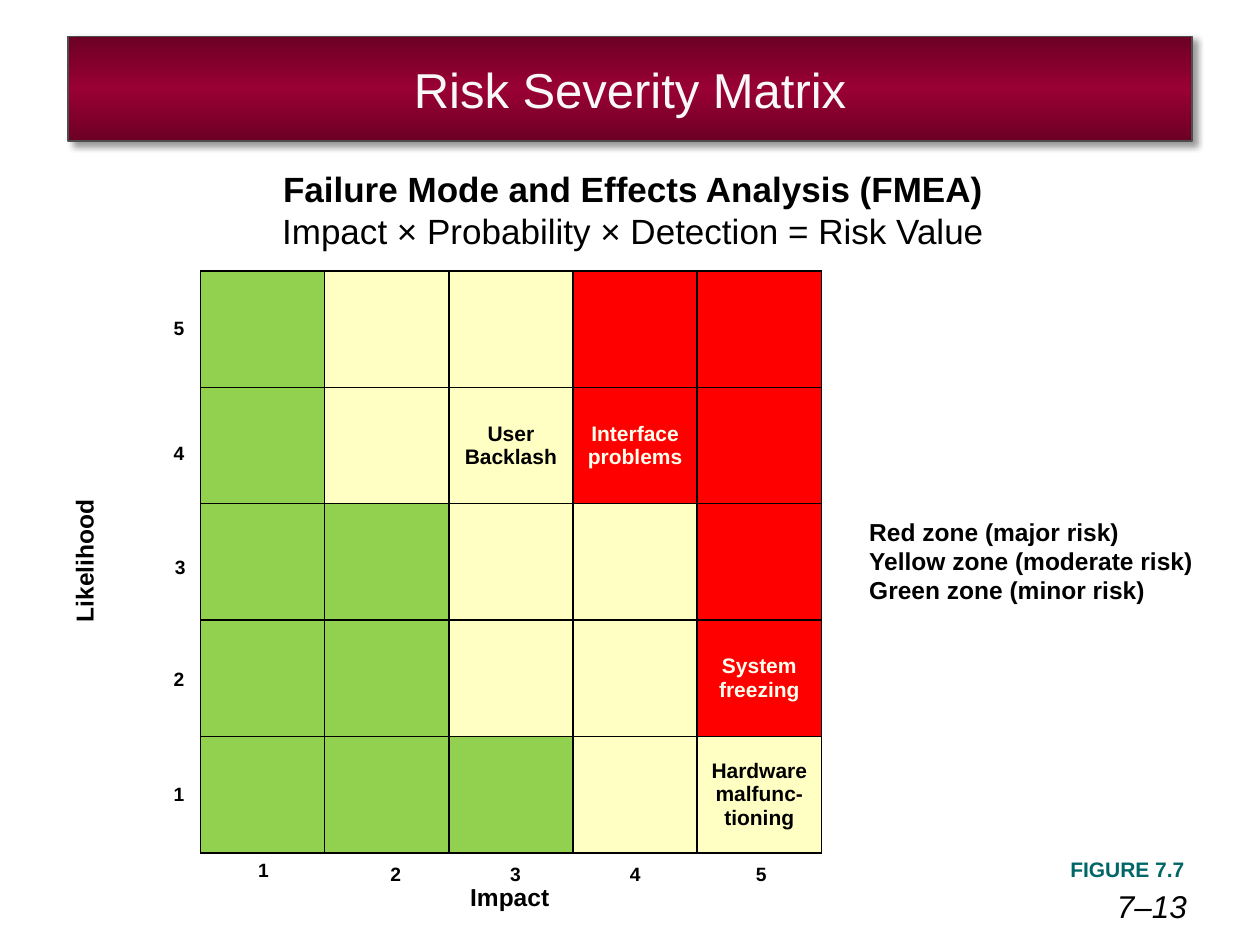
from copy import deepcopy
from dataclasses import dataclass

from lxml import etree
from pptx import Presentation, oxml
from pptx import util as u
from pptx.dml.color import RGBColor
from pptx.enum import shapes, text
from pptx.oxml.ns import nsdecls, qn

In = u.Inches
LEFT, CENTER, RIGHT = text.PP_ALIGN.LEFT, text.PP_ALIGN.CENTER, text.PP_ALIGN.RIGHT


@dataclass(frozen=True)
class Theme:
    font: str = "Arial"
    black: str = "000000"
    title_text: str = "F8F8F8"
    title_edge: str = "6D0024"
    title_middle: str = "990033"
    title_line: str = "4D4D4D"
    figure: str = "006666"
    on_red: str = "FFFFEF"
    green: str = "92D050"
    yellow: str = "FFFFC4"
    red: str = "FF0000"
    title_size: int = 28
    subtitle_size: int = 20
    page_size: int = 18
    label_size: int = 14
    cell_size: int = 12
    tick_size: int = 11


T = Theme()
ZONES = {"G": T.green, "Y": T.yellow, "R": T.red}
MATRIX = ["GYYRR", "GYYRR", "GGYYR", "GGYYR", "GGGYY"]
RISKS = {(1, 2): "User Backlash", (1, 3): "Interface problems",
         (3, 4): "System freezing", (4, 4): "Hardware malfunc-tioning"}
LIKELIHOOD_TICKS = {5: (1.28, 2.46), 4: (1.28, 3.45), 3: (1.29, 4.36),
                    2: (1.28, 5.25), 1: (1.28, 6.16)}
IMPACT_TICKS = {1: (1.95, 6.76), 2: (3, 6.79), 3: (3.95, 6.79),
                4: (4.9, 6.79), 5: (5.9, 6.79)}


def style_font(r, size, color=T.black, **extra):
    for name, value in {"name": T.font, "size": u.Pt(size), **extra}.items():
        setattr(r.font, name, value)
    r.font.color.rgb = RGBColor.from_string(color)


def add_text(s, box, lines, size, align=LEFT, color=T.black, wrap=True, **font):
    sp = s.shapes.add_textbox(*map(In, box))
    tf = sp.text_frame
    tf.word_wrap = wrap
    for i, line in enumerate(lines):
        p = tf.paragraphs[0] if i == 0 else tf.add_paragraph()
        p.alignment = align
        r = p.add_run()
        r.text = line
        style_font(r, size, color, **font)
    return sp


def add_title(s, title):
    sp = s.shapes.title
    frame = {"left": 0.54, "top": 0.29, "width": 8.92, "height": 0.83}
    for name, value in frame.items():
        setattr(sp, name, In(value))
    # Dark edges with a bright middle band
    sp.fill.gradient()
    sp.fill.gradient_angle = 90
    spPr = sp._element.spPr
    stops = spPr.find(".//" + qn("a:gsLst"))
    stops.insert(1, deepcopy(stops[0]))
    colors = (T.title_edge, T.title_middle, T.title_edge)
    for i, (stop, color) in enumerate(zip(sp.fill.gradient_stops, colors)):
        stop.position = i / 2
        stop.color.rgb = RGBColor.from_string(color)
    sp.line.color.rgb = RGBColor.from_string(T.title_line)
    sp.line.width = u.Pt(0.75)
    spPr.append(oxml.parse_xml(
        f'<a:effectLst {nsdecls("a")}><a:outerShdw blurRad="{u.Pt(4)}" '
        f'dist="{u.Pt(3)}" dir="2700000" algn="tl" rotWithShape="0">'
        f'<a:srgbClr val="{T.black}"><a:alpha val="40000"/></a:srgbClr>'
        '</a:outerShdw></a:effectLst>'))
    tf = sp.text_frame
    tf.vertical_anchor = text.MSO_ANCHOR.MIDDLE
    p = tf.paragraphs[0]
    p.alignment = CENTER
    r = p.add_run()
    r.text = title
    style_font(r, T.title_size, T.title_text)


def add_subtitle(s, heading, formula):
    sp = add_text(s, (1, 1.28, 8.05, 0.77), [heading], T.subtitle_size, CENTER, bold=True)
    p = sp.text_frame.paragraphs[0]
    p.add_line_break()
    r = p.add_run()
    r.text = formula
    style_font(r, T.subtitle_size, bold=False)


def add_borders(cell):
    tcPr = cell._tc.get_or_add_tcPr()
    for i, side in enumerate(("lnL", "lnR", "lnT", "lnB")):
        ln = etree.Element(qn(f"a:{side}"), w=str(u.Pt(1)))
        fill = etree.SubElement(ln, qn("a:solidFill"))
        etree.SubElement(fill, qn("a:srgbClr"), val=T.black)
        tcPr.insert(i, ln)


def add_matrix(s):
    size = len(MATRIX)
    table = s.shapes.add_table(size, size, In(1.59), In(2.15), In(4.93), In(4.62)).table
    table.first_row = table.horz_banding = False
    for i, zones in enumerate(MATRIX):
        for j, zone in enumerate(zones):
            cell = table.cell(i, j)
            cell.fill.solid()
            cell.fill.fore_color.rgb = RGBColor.from_string(ZONES[zone])
            add_borders(cell)
            if (i, j) in RISKS:
                cell.vertical_anchor = text.MSO_ANCHOR.MIDDLE
                p = cell.text_frame.paragraphs[0]
                p.alignment = CENTER
                r = p.add_run()
                r.text = RISKS[i, j]
                style_font(r, T.cell_size, T.on_red if zone == "R" else T.black, bold=True)


def add_axes(s):
    for ticks in (LIKELIHOOD_TICKS, IMPACT_TICKS):
        for value, (x, y) in ticks.items():
            add_text(s, (x, y, 0.3, 0.29), [str(value)], T.tick_size, bold=True)
    sp = add_text(s, (-0.23, 4.28, 1.8, 0.34), ["Likelihood"], T.label_size, CENTER, bold=True)
    sp.rotation = 270
    add_text(s, (3.6, 6.95, 0.89, 0.34), ["Impact"], T.label_size, CENTER, bold=True)


def add_page_number(s, number):
    sp = add_text(s, (7.1, 7.17, 2.32, 0.17), [number], T.page_size, RIGHT, italic=True)
    tf = sp.text_frame
    tf.vertical_anchor = text.MSO_ANCHOR.BOTTOM
    for side in ("left", "top", "right", "bottom"):
        setattr(tf, f"margin_{side}", 0)


def main():
    prs = Presentation()
    prs.slide_width, prs.slide_height = In(10), In(7.5)
    s = prs.slides.add_slide(prs.slide_layouts[5])

    # Heading
    add_title(s, "Risk Severity Matrix")
    add_subtitle(s, "Failure Mode and Effects Analysis (FMEA)",
                 "Impact × Probability × Detection = Risk Value")

    # Matrix with its axes and legend
    add_matrix(s)
    add_axes(s)
    add_text(s, (6.8, 4.05, 2.78, 0.81),
             ["Red zone (major risk)", "Yellow zone (moderate risk)",
              "Green zone (minor risk)"], T.label_size, wrap=False, bold=True)

    # Footer
    add_text(s, (8.1, 6.75, 1.4, 0.3), ["FIGURE 7.7"], T.cell_size, RIGHT, T.figure, bold=True)
    add_page_number(s, "7–13")
    prs.save("out.pptx")


if __name__ == "__main__":
    main()
